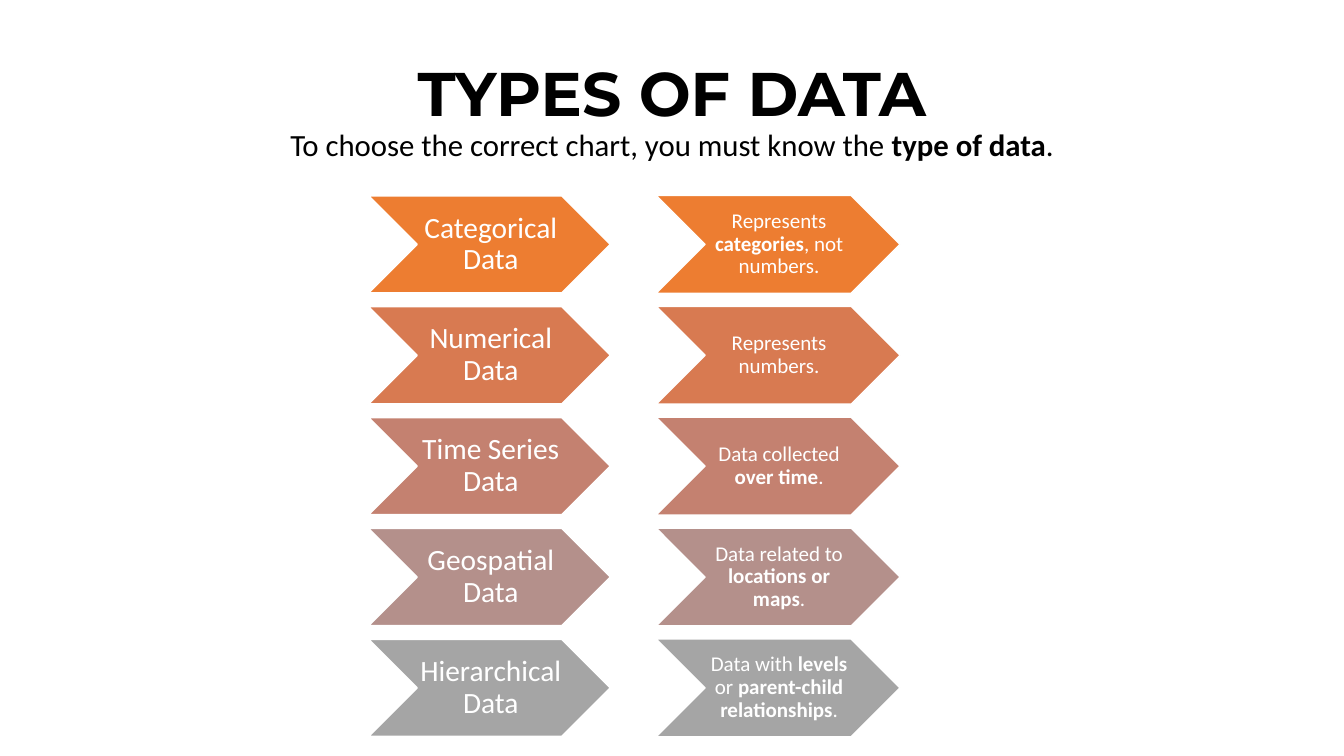
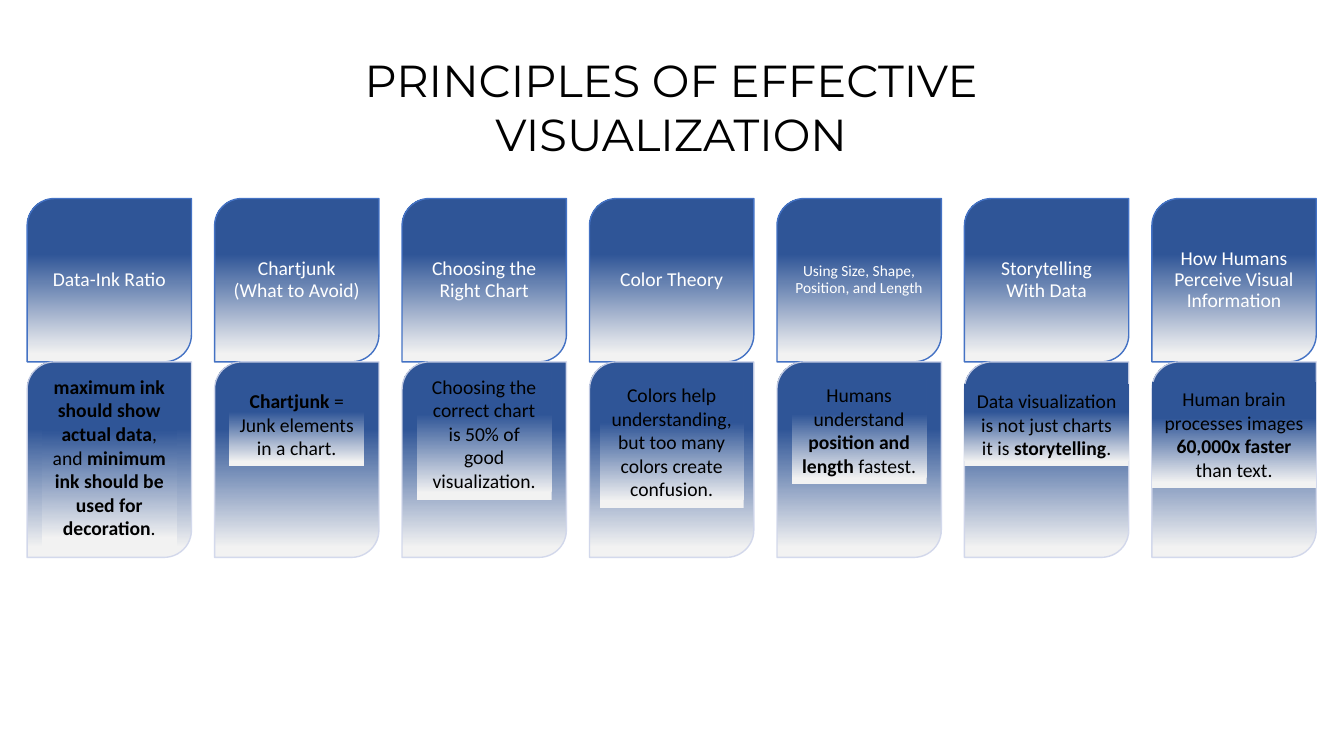
"""Build two slides: the types of data and the principles of effective visualization."""
from dataclasses import dataclass

from lxml import etree
from pptx import Presentation
from pptx.dml.color import RGBColor
from pptx.enum.shapes import MSO_SHAPE
from pptx.enum.text import MSO_ANCHOR, MSO_AUTO_SIZE, PP_ALIGN
from pptx.oxml.ns import qn
from pptx.util import Pt

CHEVRON = MSO_SHAPE.CHEVRON
CARD = MSO_SHAPE.ROUND_2_DIAG_RECTANGLE
RECTANGLE = MSO_SHAPE.RECTANGLE
TOP, MIDDLE = MSO_ANCHOR.TOP, MSO_ANCHOR.MIDDLE
CENTER = PP_ALIGN.CENTER
NO_AUTOFIT = MSO_AUTO_SIZE.NONE


@dataclass(frozen=True)
class Theme:
    heading_font: str = "Montserrat"
    body_font: str = "Calibri"
    ink: str = "000000"
    white: str = "FFFFFF"
    gradient: tuple = ((0.05, "F2F2F2"), (0.66, "2F5597"))
    card_line: str = "4472C4"
    panel_line: str = "CFD5EA"
    heading: int = 44
    long_heading: int = 32
    subtitle: int = 22
    label: int = 21
    detail: int = 15
    body: int = 14
    small: int = 11


theme = Theme()


def write(paragraph, text, size, color, font=theme.body_font, spacing=0.9):
    """Fill a centred paragraph, with **bold** stretches."""
    paragraph.alignment = CENTER
    paragraph.line_spacing = spacing
    for index, part in enumerate(text.split("**")):
        if part:
            run = paragraph.add_run()
            run.text = part
            run.font.name = font
            run.font.size = Pt(size)
            run.font.bold = index % 2 == 1
            run.font.color.rgb = RGBColor.from_string(color)


def add_block(slide, preset, box, fill=None, line=None, line_width=1, insets=(7.2, 3.6, 7.2, 3.6)):
    """Add a shape with a plain fill, or the theme gradient if none is given."""
    block = slide.shapes.add_shape(preset, *map(Pt, box))
    block.shadow.inherit = False
    if fill:
        block.fill.solid()
        block.fill.fore_color.rgb = RGBColor.from_string(fill)
    else:
        block.fill.gradient()
        block.fill.gradient_angle = 90
        for stop, (position, color) in zip(block.fill.gradient_stops, theme.gradient):
            stop.position = position
            stop.color.rgb = RGBColor.from_string(color)
    if line:
        block.line.color.rgb = RGBColor.from_string(line)
        block.line.width = Pt(line_width)
    else:
        block.line.fill.background()
    frame = block.text_frame
    frame.word_wrap = True
    frame.vertical_anchor = MIDDLE
    frame.margin_left, frame.margin_top, frame.margin_right, frame.margin_bottom = map(Pt, insets)
    return block


prs = Presentation()
prs.slide_width, prs.slide_height = Pt(960), Pt(540)

headings = (
    ((66, 28.8, 828, 104.4), 0.9, (
        ("**TYPES OF DATA**", theme.heading, theme.heading_font),
        ("To choose the correct chart, you must know the **type of data**.",
         theme.subtitle, theme.body_font),
    )),
    ((141.1, 33.8, 676.8, 85), 1, (
        ("PRINCIPLES OF EFFECTIVE VISUALIZATION", theme.long_heading, theme.heading_font),
    )),
)
slides = []
for box, spacing, lines in headings:
    slide = prs.slides.add_slide(prs.slide_layouts[5])
    title = slide.shapes.title
    title.left, title.top, title.width, title.height = map(Pt, box)
    frame = title.text_frame
    frame.auto_size = NO_AUTOFIT
    frame.vertical_anchor = MIDDLE
    for index, (text, size, font) in enumerate(lines):
        paragraph = frame.add_paragraph() if index else frame.paragraphs[0]
        write(paragraph, text, size, theme.ink, font, spacing)
    slides.append(slide)
types_slide, principles_slide = slides

data_types = (
    ("ED7D31", "Categorical Data", "Represents **categories**, not numbers."),
    ("D87A51", "Numerical Data", "Represents numbers."),
    ("C48170", "Time Series Data", "Data collected **over time**."),
    ("B4908B", "Geospatial Data", "Data related to **locations or maps**."),
    ("A5A5A5", "Hierarchical Data", "Data with **levels** or **parent-child relationships**."),
)
type_columns = (
    (262.8, 173.5, theme.label, 1.5, 2),
    (468.7, 174.2, theme.detail, 1, 1.4),
)
for row, (color, *texts) in enumerate(data_types):
    for text, (left, width, size, line_width, inset) in zip(texts, type_columns):
        chevron = add_block(types_slide, CHEVRON, (left, 139.7 + 79.2 * row, width, 69.8),
                            color, theme.white, line_width, (inset, 0.7, 0, 0.7))
        write(chevron.text_frame.paragraphs[0], text, size, theme.white)

card_left, card_step, card_width = 19.4, 133.9, 117.4
narrow, medium = 96.5, 103
principles = (
    ("Data-Ink Ratio", theme.body, narrow, 264.2, 7,
     "**maximum ink should show actual data**, and "
     "**minimum ink should be used for decoration**."),
    ("Chartjunk (What to Avoid)", theme.body, narrow, 274.3, 3,
     "**Chartjunk** = Junk elements in a chart."),
    ("Choosing the Right Chart", theme.body, narrow, 264.2, 5,
     "Choosing the correct chart is 50% of good visualization."),
    ("Color Theory", theme.body, medium, 270, 5,
     "Colors help understanding, but too many colors create confusion."),
    ("Using Size, Shape, Position, and Length", theme.small, narrow, 270, 4,
     "Humans understand **position and length** fastest."),
    ("Storytelling With Data", theme.body, card_width, 274.3, 3,
     "Data visualization is not just charts it is **storytelling**."),
    ("How Humans Perceive Visual Information", theme.body, card_width, 272.9, 4,
     "Human brain processes images **60,000x faster** than text."),
)
for column, (name, size, width, top, line_count, text) in enumerate(principles):
    left = card_left + card_step * column
    card = add_block(principles_slide, CARD, (left, 141.8, card_width, 116.7),
                     line=theme.card_line, insets=(6.5, 3.6, 6.5, 3.6))
    write(card.text_frame.paragraphs[0], name, size, theme.white)

    panel = add_block(principles_slide, CARD, (left, 258.5, card_width, 139.7),
                      line=theme.panel_line)
    line_color = panel.element.spPr.find(qn("a:ln")).find(".//" + qn("a:srgbClr"))
    etree.SubElement(line_color, qn("a:alpha"), val="90000")

    caption = add_block(principles_slide, RECTANGLE,
                        (left + (card_width - width) / 2, top, width, 7.2 + 17.1 * line_count))
    caption.text_frame.vertical_anchor = TOP
    write(caption.text_frame.paragraphs[0], text, theme.body, theme.ink, spacing=1)

prs.save("out.pptx")
